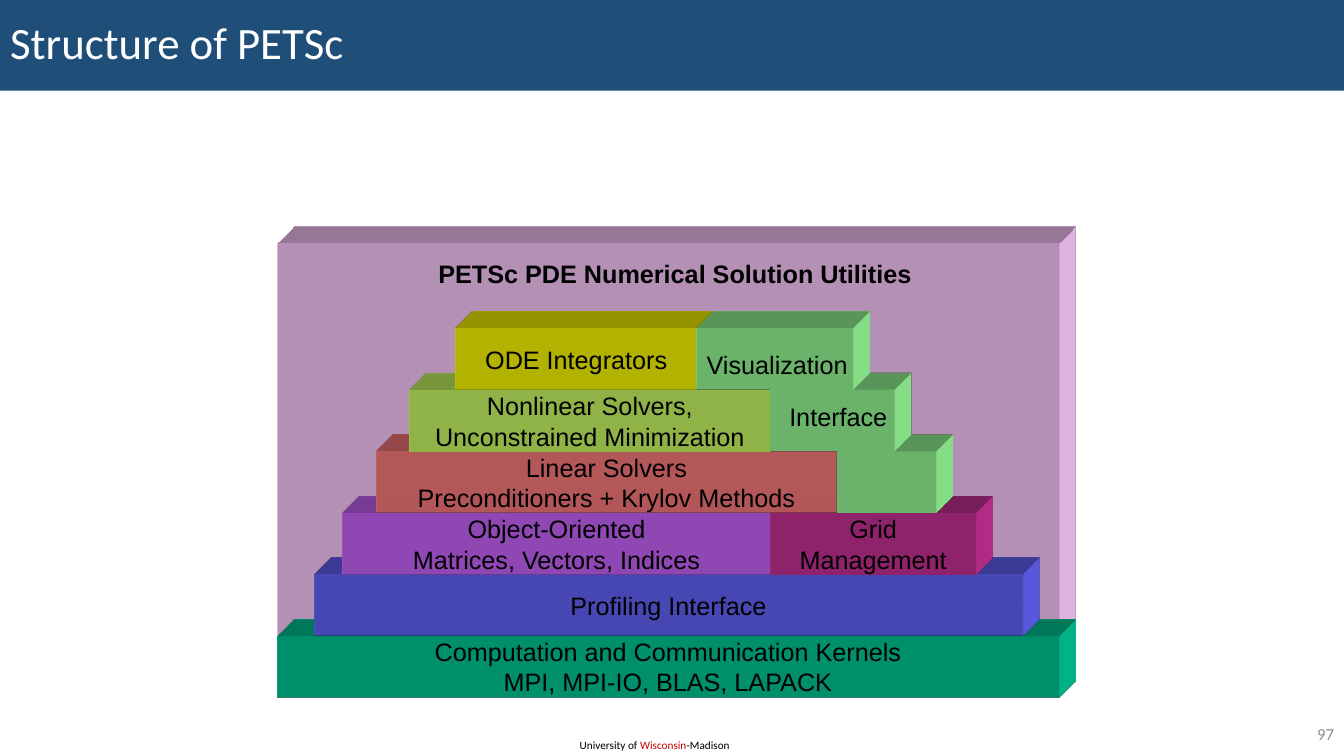
"""Builds the slide showing the layered structure of PETSc."""
import pptx
import pptx.dml.color
import pptx.enum.shapes
import pptx.enum.text
import pptx.oxml
import pptx.oxml.ns
import pptx.util

RGB = pptx.dml.color.RGBColor
ALIGN = pptx.enum.text.PP_ALIGN
MIDDLE = pptx.enum.text.MSO_ANCHOR.MIDDLE
RECT = pptx.enum.shapes.MSO_SHAPE.RECTANGLE

BLACK = RGB(0x00, 0x00, 0x00)
WHITE = RGB(0xFF, 0xFF, 0xFF)
NAVY = RGB(0x1F, 0x4E, 0x79)
RED = RGB(0xC0, 0x00, 0x00)
GRAY = RGB(0x8C, 0x8C, 0x8C)
PINK = RGB(0xFF, 0xCC, 0xFF)
TEAL = RGB(0x00, 0xCC, 0x99)
BLUE = RGB(0x66, 0x66, 0xFF)
VIOLET = RGB(0xCC, 0x66, 0xFF)
MAGENTA = RGB(0xCC, 0x33, 0x99)
CORAL = RGB(0xFF, 0x7C, 0x80)
LIME = RGB(0xCC, 0xFF, 0x66)
YELLOW = RGB(0xFF, 0xFF, 0x00)
MINT = RGB(0x99, 0xFF, 0x99)

WIDTH, HEIGHT = pptx.util.Inches(13.33), pptx.util.Inches(7.5)
COL, ROW = pptx.util.Inches(0.1), pptx.util.Inches(0.61)
STACK_TOP = pptx.util.Inches(3.26)

LAYERS = [
    (27.5, 5, 77.5, TEAL, ["Computation and Communication Kernels", "MPI, MPI-IO, BLAS, LAPACK"]),
    (31.2, 4, 70.2, BLUE, ["Profiling Interface"]),
    (34, 3, 42.4, VIOLET, ["Object-Oriented", "Matrices, Vectors, Indices"]),
    (76.4, 3, 20.4, MAGENTA, ["Grid", "Management"]),
    (37.3, 2, 45.7, CORAL, ["Linear Solvers", "Preconditioners + Krylov Methods"]),
    (40.6, 1, 35.8, LIME, ["Nonlinear Solvers,", "Unconstrained Minimization"]),
    (45.2, 0, 23.9, YELLOW, ["ODE Integrators"]),
]
LABELS = [
    (69.1, 0.25, 16.2, "Visualization"),
    (77.3, 1.11, 11.7, "Interface"),
]
STEPS = [(69.1, 84.6), (76.4, 88.7), (83, 92.8)]


def x_at(col):
    """Return the horizontal position of a grid column."""
    return round(col * COL)


def y_at(row):
    """Return the vertical position of a row of the stack."""
    return round(STACK_TOP + row * ROW)


def add_run(p, text, size, color, font="Calibri", bold=False):
    """Append one formatted run to a paragraph."""
    r = p.add_run()
    r.text = text
    r.font.name, r.font.size, r.font.bold = font, pptx.util.Pt(size), bold
    r.font.color.rgb = color


def paint(sp, color):
    """Give a shape a plain fill without line or shadow."""
    sp.fill.solid()
    sp.fill.fore_color.rgb = color
    sp.line.fill.background()
    sp.shadow.inherit = False


def extrude(sp, color):
    """Give a shape an oblique depth towards the top right."""
    ns = pptx.oxml.ns.nsdecls("a")
    scene = (f'<a:scene3d {ns}><a:camera prst="legacyObliqueTopRight"/>'
             '<a:lightRig rig="legacyFlat3" dir="b"/></a:scene3d>')
    depth = (f'<a:sp3d {ns} extrusionH="430200" prstMaterial="legacyMatte">'
             '<a:bevelT w="13500" h="13500" prst="angle"/>'
             '<a:bevelB w="13500" h="13500" prst="angle"/>'
             f'<a:extrusionClr><a:srgbClr val="{color}"/></a:extrusionClr></a:sp3d>')
    for xml in (scene, depth):
        sp._element.spPr.append(pptx.oxml.parse_xml(xml))


def add_block(shapes, col, row, cols, rows, color, lines=()):
    """Add an extruded block with one centred paragraph per line."""
    sp = shapes.add_shape(RECT, x_at(col), y_at(row), x_at(cols), round(rows * ROW))
    paint(sp, color)
    extrude(sp, color)
    tf = sp.text_frame
    tf.word_wrap, tf.vertical_anchor = False, MIDDLE
    for i, line in enumerate(lines):
        p = tf.add_paragraph() if i else tf.paragraphs[0]
        p.alignment = ALIGN.CENTER
        add_run(p, line, 18, BLACK, "Arial")


def add_staircase(shapes, steps, color):
    """Add an extruded staircase outline from the left and right edge of each row."""
    left = [(x_at(a), y_at(i + k)) for i, (a, b) in enumerate(steps) for k in (0, 1)]
    right = [(x_at(b), y_at(i + k)) for i, (a, b) in enumerate(steps) for k in (0, 1)]
    builder = shapes.build_freeform(*left[0], scale=1.0)
    builder.add_line_segments(left[1:] + right[::-1], close=True)
    sp = builder.convert_to_shape()
    paint(sp, color)
    extrude(sp, color)


def add_label(shapes, col, row, cols, text, bold=False):
    """Add an unwrapped one-line label on the stack."""
    sp = shapes.add_textbox(x_at(col), y_at(row), x_at(cols), pptx.util.Inches(0.4))
    sp.text_frame.word_wrap = False
    add_run(sp.text_frame.paragraphs[0], text, 18, BLACK, "Arial", bold)


def add_note(s, left, top, width, height, runs, size, align=ALIGN.LEFT):
    """Add a small marginal text placed by shares of the slide."""
    sp = s.shapes.add_textbox(round(left * WIDTH), round(top * HEIGHT),
                              round(width * WIDTH), round(height * HEIGHT))
    tf = sp.text_frame
    tf.word_wrap, tf.vertical_anchor = True, MIDDLE
    p = tf.paragraphs[0]
    p.alignment = align
    for text, color in runs:
        add_run(p, text, size, color)


def format_title(s, text):
    """Turn the title placeholder into a full-width banner."""
    sp = s.shapes.title
    sp.left, sp.top, sp.width, sp.height = 0, 0, WIDTH, round(0.12 * HEIGHT)
    sp.fill.solid()
    sp.fill.fore_color.rgb = NAVY
    tf = sp.text_frame
    tf.vertical_anchor = MIDDLE
    tf.auto_size = pptx.enum.text.MSO_AUTO_SIZE.NONE
    p = tf.paragraphs[0]
    p.alignment, p.line_spacing = ALIGN.LEFT, 0.9
    add_run(p, text, 32, WHITE)


def main():
    """Build and save the slide."""
    prs = pptx.Presentation()
    prs.slide_width, prs.slide_height = WIDTH, HEIGHT
    s = prs.slides.add_slide(prs.slide_layouts[5])
    format_title(s, "Structure of PETSc")
    add_note(s, 0.424, 0.97, 0.13, 0.03,
             [("University of ", BLACK), ("Wisconsin", RED), ("-Madison", BLACK)], 8)
    add_note(s, 0.94, 0.95, 0.06, 0.04, [("97", GRAY)], 12, ALIGN.RIGHT)

    stack = s.shapes.add_group_shape().shapes
    add_block(stack, 27.5, -1.38, 77.5, 7.38, PINK)
    for col, row, cols, color, lines in LAYERS:
        add_block(stack, col, row, cols, 1, color, lines)
    add_staircase(stack, STEPS, MINT)
    add_label(stack, 42.5, -1.23, 49.4, "PETSc PDE Numerical Solution Utilities", bold=True)
    for col, row, cols, text in LABELS:
        add_label(stack, col, row, cols, text)
    prs.save("out.pptx")


if __name__ == "__main__":
    main()
